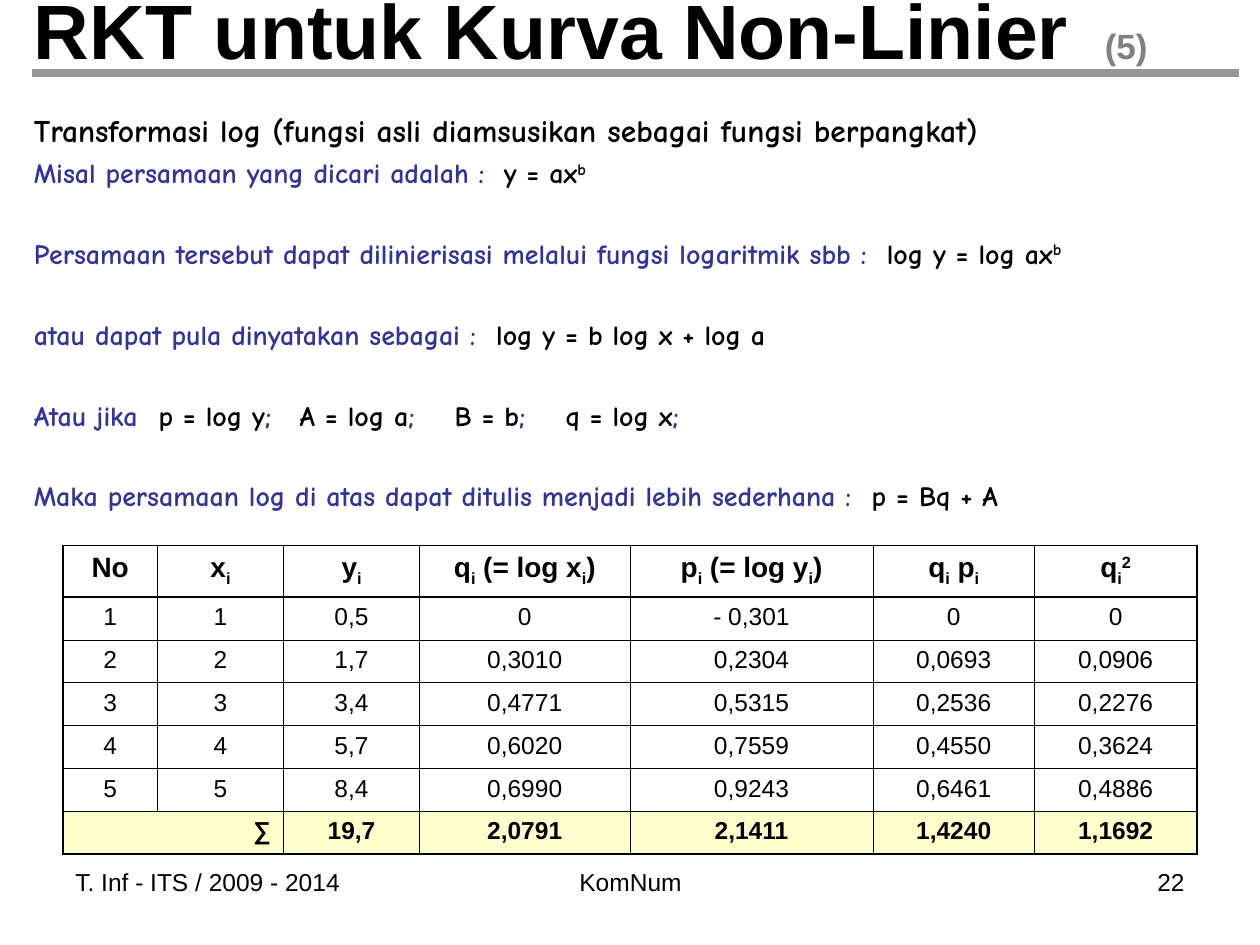
from lxml import etree
from pptx import Presentation
from pptx import util as u
from pptx.dml.color import RGBColor
from pptx.enum import shapes, text
from pptx.oxml.ns import qn

BLACK, BLUE, GREY, RULE, YELLOW = "000000", "333399", "808080", "969696", "FFFFCC"
ALIGN = {"l": text.PP_ALIGN.LEFT, "c": text.PP_ALIGN.CENTER, "r": text.PP_ALIGN.RIGHT}
BASELINE = {"_": -25000, "^": 30000}
THIN, OUTER, HEADER = 0.45, 1.08, 1.47

# Each line: space before, tab stops, (text, colour) runs
BODY = [
    (4, [3.73], [("Misal persamaan yang dicari adalah :\t", BLUE), ("y = ax^b", BLACK)]),
    (27, [6.77], [("Persamaan tersebut dapat dilinierisasi melalui fungsi logaritmik sbb :\t", BLUE),
                  ("log y = log ax^b", BLACK)]),
    (27, [3.67], [("atau dapat pula dinyatakan sebagai :\t", BLUE),
                  ("log y = b log x + log a", BLACK)]),
    (27, [0.99, 2.11, 3.34, 4.22], [
        ("Atau jika\t", BLUE), ("p = log y", BLACK), (";\t", BLUE), ("A = log a", BLACK),
        (";\t", BLUE), ("B = b", BLACK), (";\t", BLUE), ("q = log x", BLACK), (";", BLUE)]),
    (27, [6.65], [("Maka persamaan log di atas dapat ditulis menjadi lebih sederhana :\t", BLUE),
                  ("p = Bq + A", BLACK)]),
]

COLUMNS = [0.75, 1, 1.08, 1.67, 1.93, 1.28, 1.29]
ROWS = [
    ["No", "x_i", "y_i", "q_i (= log x_i)", "p_i (= log y_i)", "q_i p_i", "q_i^2"],
    ["1", "1", "0,5", "0", "- 0,301", "0", "0"],
    ["2", "2", "1,7", "0,3010", "0,2304", "0,0693", "0,0906"],
    ["3", "3", "3,4", "0,4771", "0,5315", "0,2536", "0,2276"],
    ["4", "4", "5,7", "0,6020", "0,7559", "0,4550", "0,3624"],
    ["5", "5", "8,4", "0,6990", "0,9243", "0,6461", "0,4886"],
    ["∑", "", "19,7", "2,0791", "2,1411", "1,4240", "1,1692"],
]


def rgb(value):
    return RGBColor.from_string(value)


def split_scripts(marked):
    """Split on _ and ^, each of which lowers or raises the next character."""
    pieces, i = [["", None]], 0
    while i < len(marked):
        if marked[i] in BASELINE:
            pieces += [[marked[i + 1], BASELINE[marked[i]]], ["", None]]
            i += 2
        else:
            pieces[-1][0] += marked[i]
            i += 1
    return [piece for piece in pieces if piece[0]]


def add_runs(p, marked, size, color=BLACK, font="Arial", bold=False):
    for piece, baseline in split_scripts(marked):
        r = p.add_run()
        r.text = piece
        r.font.size, r.font.name, r.font.bold = u.Pt(size), font, bold
        r.font.color.rgb = rgb(color)
        if baseline:
            r._r.get_or_add_rPr().set("baseline", str(baseline))


def add_tabs(p, stops):
    tabs = etree.SubElement(p._p.get_or_add_pPr(), qn("a:tabLst"))
    for stop in stops:
        etree.SubElement(tabs, qn("a:tab"), pos=str(u.Inches(stop)), algn="l")


def add_box(s, left, top, width, height):
    tf = s.shapes.add_textbox(*map(u.Inches, (left, top, width, height))).text_frame
    tf.word_wrap = True
    return tf


def add_title(s):
    tf = add_box(s, 0.17, 0, 9.25, 0.45)
    tf.vertical_anchor = text.MSO_ANCHOR.MIDDLE
    p = tf.paragraphs[0]
    add_tabs(p, [8.5])
    add_runs(p, "RKT untuk Kurva Non-Linier", 44, bold=True)
    add_runs(p, "\t(5)", 20, GREY, bold=True)


def add_rule(s):
    ends = map(u.Inches, (0.25, 0.58, 9.83, 0.58))
    line = s.shapes.add_connector(shapes.MSO_CONNECTOR.STRAIGHT, *ends)
    line.line.color.rgb = rgb(RULE)
    line.line.width = u.Pt(4.5)
    etree.SubElement(line._element.spPr, qn("a:effectLst"))


def add_body(s):
    tf = add_box(s, 0.17, 0.83, 9.67, 3.33)
    add_runs(tf.paragraphs[0],
             "Transformasi log (fungsi asli diamsusikan sebagai fungsi berpangkat)",
             18, font="Comic Neue", bold=True)
    for before, stops, runs in BODY:
        p = tf.add_paragraph()
        p.space_before = u.Pt(before)
        add_tabs(p, stops)
        for marked, color in runs:
            add_runs(p, marked, 16, color, "Comic Neue", True)


def set_borders(cell, widths):
    tcPr = cell._tc.get_or_add_tcPr()
    for side, width in zip("LRTB", widths):
        ln = etree.SubElement(tcPr, qn("a:ln" + side), w=str(u.Pt(width)))
        fill = etree.SubElement(ln, qn("a:solidFill"))
        etree.SubElement(fill, qn("a:srgbClr"), val=BLACK)


def add_sums_table(s):
    last_row, last_col = len(ROWS) - 1, len(COLUMNS) - 1
    heights = [0.41] + [0.34] * last_row
    table = s.shapes.add_table(len(ROWS), len(COLUMNS), u.Inches(0.5), u.Inches(4.33),
                               u.Inches(sum(COLUMNS)), u.Inches(sum(heights))).table
    table.first_row = table.horz_banding = False
    for column, width in zip(table.columns, COLUMNS):
        column.width = u.Inches(width)
    for row, height in zip(table.rows, heights):
        row.height = u.Inches(height)
    table.cell(last_row, 0).merge(table.cell(last_row, 1))

    for i, values in enumerate(ROWS):
        for j, value in enumerate(values):
            cell = table.cell(i, j)
            set_borders(cell, (OUTER if j == 0 else THIN,
                               OUTER if j == last_col else THIN,
                               {0: OUTER, 1: HEADER}.get(i, THIN),
                               {0: HEADER, last_row: OUTER}.get(i, THIN)))
            if i == last_row:
                cell.fill.solid()
                cell.fill.fore_color.rgb = rgb(YELLOW)
            else:
                cell.fill.background()
            p = cell.text_frame.paragraphs[0]
            p.alignment = ALIGN["r" if value == "∑" else "c"]
            add_runs(p, value, 16 if i == 0 else 14, bold=i in (0, last_row))


def add_footer(s, left, width, words, align):
    p = add_box(s, left, 6.83, width, 0.52).paragraphs[0]
    p.alignment = ALIGN[align]
    add_runs(p, words, 14)


def main():
    prs = Presentation()
    prs.slide_width, prs.slide_height = u.Inches(10), u.Inches(7.5)
    s = prs.slides.add_slide(prs.slide_layouts[6])

    # Footer
    add_footer(s, 0.5, 2.33, "T. Inf - ITS / 2009 - 2014", "l")
    add_footer(s, 3.42, 3.17, "KomNum", "c")
    add_footer(s, 7.17, 2.33, "22", "r")

    # Heading
    add_title(s)
    add_rule(s)

    # Derivation and table of sums
    add_body(s)
    add_sums_table(s)
    prs.save("out.pptx")


if __name__ == "__main__":
    main()
